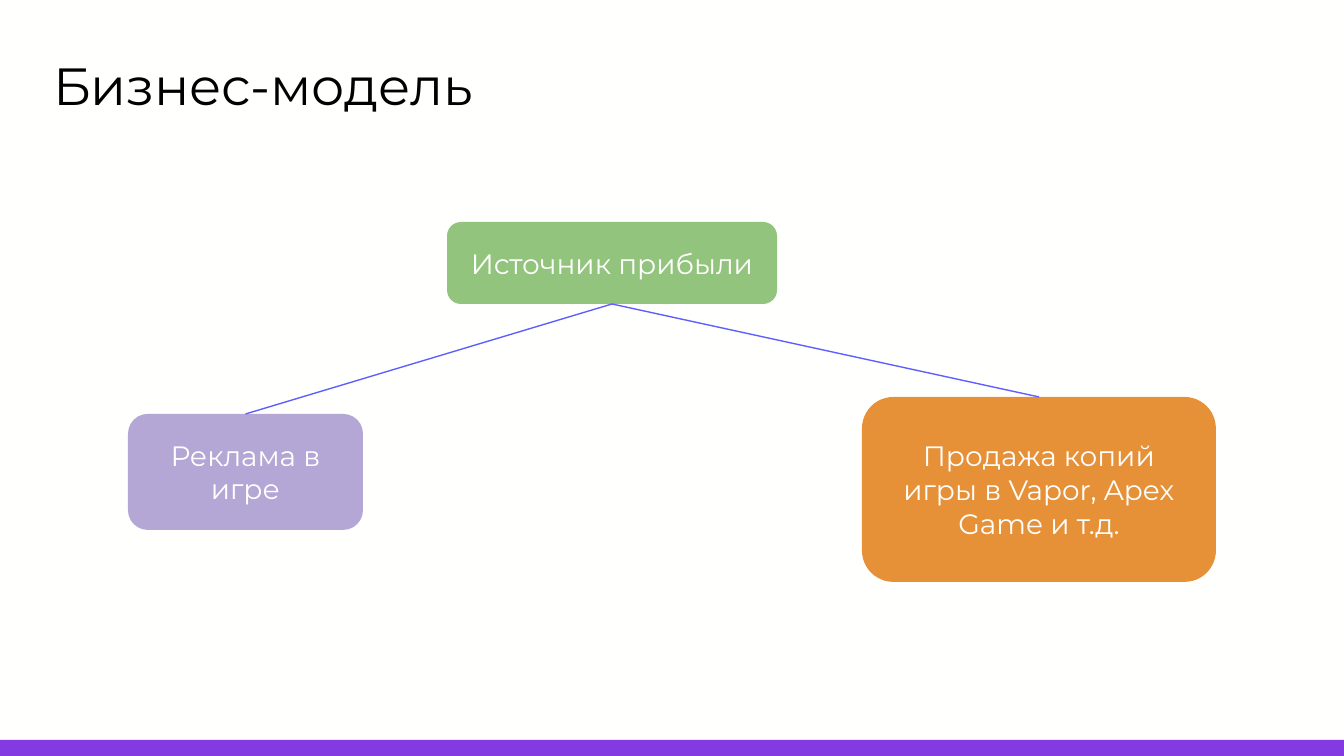
from pptx import Presentation
from pptx.dml.color import RGBColor
from pptx.enum.shapes import MSO_CONNECTOR as LINE, MSO_SHAPE as SHAPE
from pptx.enum.text import MSO_ANCHOR as ANCHOR, PP_ALIGN as ALIGN
from pptx.oxml.ns import qn
from pptx.util import Pt
from lxml.etree import SubElement

TITLE = "Бизнес-модель"
ROOT = ("Источник прибыли", "93C47D", (447, 222, 330, 82))
LEAVES = [
    ("Реклама в игре", "B4A7D6", (128, 414, 235, 116)),
    ("Продажа копий игры в Vapor, Apex Game и т.д.", "E69138", (862, 397, 354, 185)),
]
FONT = "Montserrat"
PAPER = "FFFFFE"
WIDE, HIGH, BAR = 1344, 756, 16
SCALE = 914400 / 134.4


def px(*nums):
    return [round(n * SCALE) for n in nums]


def color(code):
    return RGBColor.from_string(code)


def write(shape, text, size, code, align, pad):
    frame = shape.text_frame
    frame.word_wrap = True
    frame.margin_left = frame.margin_right = pad
    frame.margin_top = frame.margin_bottom = pad
    frame.text = text
    para = frame.paragraphs[0]
    para.alignment = align
    font = para.runs[0].font
    font.name, font.size = FONT, Pt(size)
    font.color.rgb = color(code)


def block(kind, code, area):
    shape = slide.shapes.add_shape(kind, *px(*area))
    shape.shadow.inherit = False
    shape.fill.solid()
    shape.fill.fore_color.rgb = color(code)
    shape.line.fill.background()
    return shape


def node(text, code, area):
    shape = block(SHAPE.ROUNDED_RECTANGLE, code, area)
    shape.adjustments[0] = 0.17
    shape.text_frame.vertical_anchor = ANCHOR.MIDDLE
    write(shape, text, 15, PAPER, ALIGN.CENTER, Pt(7.2))
    return shape


def link(top, end):
    wire = slide.shapes.add_connector(LINE.STRAIGHT, 0, 0, 0, 0)
    wire.begin_connect(top, 2)
    wire.end_connect(end, 0)
    wire.line.color.rgb = color("5E5EFF")
    wire.line.width = Pt(0.75)
    SubElement(wire.element.spPr, qn("a:effectLst"))


deck = Presentation()
deck.slide_width, deck.slide_height = px(WIDE, HIGH)
slide = deck.slides.add_slide(deck.slide_layouts[6])
slide.background.fill.solid()
slide.background.fill.fore_color.rgb = color(PAPER)

block(SHAPE.RECTANGLE, "833AE0", (0, HIGH - BAR, WIDE, BAR))
head = slide.shapes.add_textbox(*px(53, 53, 1238, 82))
write(head, TITLE, 28, "000000", ALIGN.JUSTIFY, 0)

root = node(*ROOT)
ends = [node(*leaf) for leaf in LEAVES]
for end in ends:
    link(root, end)

deck.save("out.pptx")
